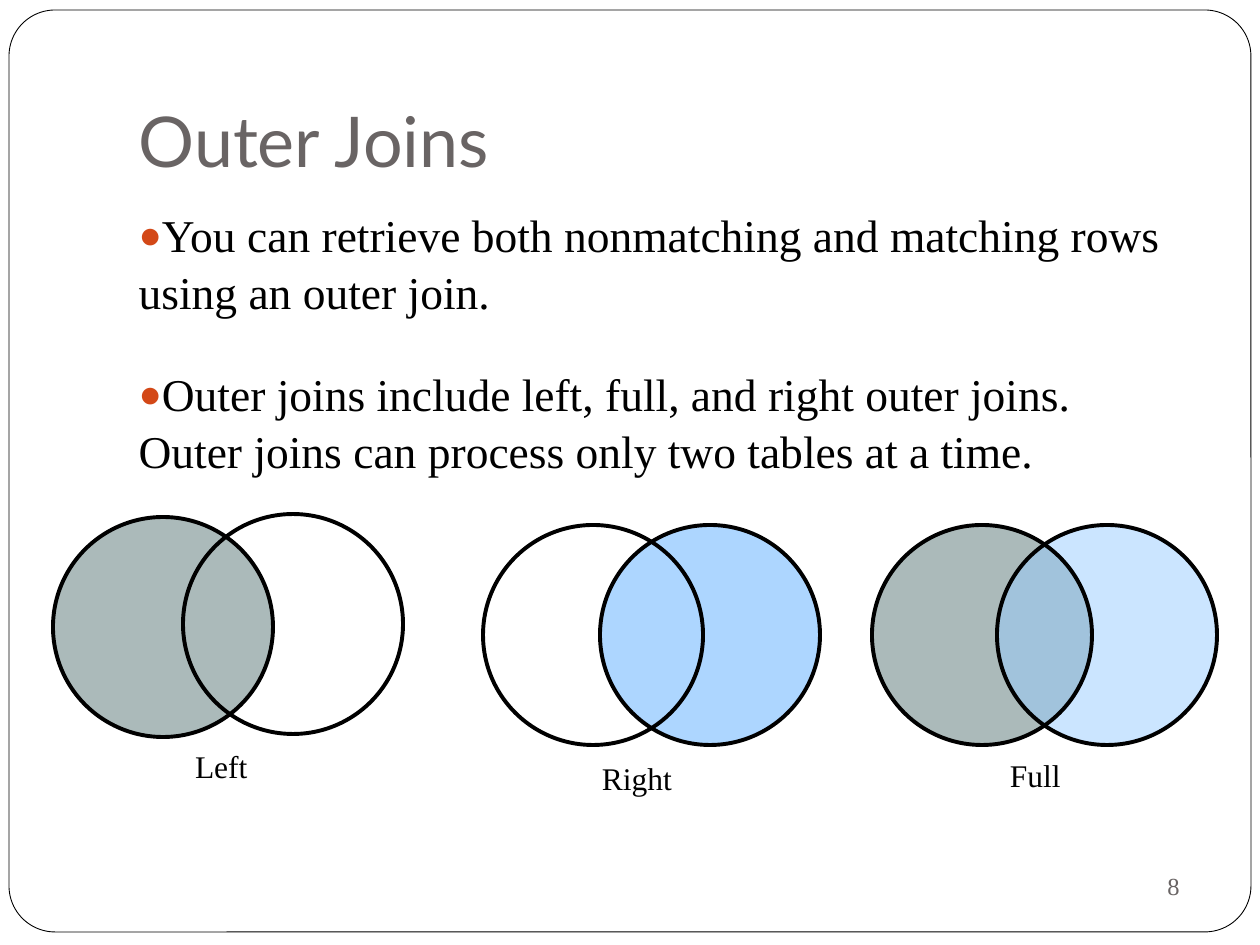
from lxml.etree import SubElement
from pptx import Presentation
from pptx.dml.color import RGBColor
from pptx.enum.shapes import MSO_SHAPE as Shape
from pptx.enum.text import MSO_ANCHOR as Anchor, MSO_AUTO_SIZE as AutoSize, PP_ALIGN as Align
from pptx.oxml.ns import qn
from pptx.util import Emu, Pt

BLACK = RGBColor(0x00, 0x00, 0x00)
GREY = RGBColor(0x69, 0x64, 0x64)
ORANGE = RGBColor(0xD3, 0x48, 0x17)
SAGE = RGBColor(0x96, 0xA9, 0xA9)
SKY = RGBColor(0x99, 0xCC, 0xFF)
SERIF = "Times New Roman"
DIAMETER = 220

BULLETS = [
    ("You can retrieve both nonmatching and matching rows using an outer join.", 3),
    ("Outer joins include left, full, and right outer joins. "
     "Outer joins can process only two tables at a time.", 26),
]

# Each circle: left, top, fill, opacity in percent, outlined
DIAGRAMS = [
    ("Full", (1010, 756, 68), [(872, 525, SAGE, 80, False),
                               (997, 525, SKY, 50, True),
                               (872, 525, None, 0, True)]),
    ("Right", (602, 759, 98), [(600, 525, SKY, 80, True),
                               (483, 525, None, 0, True)]),
    ("Left", (195, 747, 70), [(53, 517, SAGE, 80, False),
                              (183, 514, None, 0, True),
                              (53, 517, None, 0, True)]),
]


def px(count):
    return Emu(round(count * 914400 / 126))


def place(shape, left, top, width, height):
    shape.left, shape.top = px(left), px(top)
    shape.width, shape.height = px(width), px(height)


def write(para, text, size, font=SERIF, color=BLACK, align=Align.LEFT):
    span = para.add_run()
    span.text = text
    span.font.name = font
    span.font.size = Pt(size)
    span.font.color.rgb = color
    para.alignment = align


def add_bullet(para):
    """Give the paragraph an orange dot and no hanging indent."""
    props = para._p.get_or_add_pPr()
    props.set("marL", "0")
    props.set("indent", "0")
    color = SubElement(props, qn("a:buClr"))
    SubElement(color, qn("a:srgbClr"), val=str(ORANGE))
    SubElement(props, qn("a:buSzPct"), val="85000")
    SubElement(props, qn("a:buChar"), char="●")


def add_frame(page):
    frame = page.shapes.add_shape(Shape.ROUNDED_RECTANGLE, px(9), px(10), px(1242), px(922))
    frame.adjustments[0] = 0.05
    frame.shadow.inherit = False
    frame.fill.background()
    frame.line.color.rgb = BLACK
    frame.line.width = Pt(0.5)


def fill_title(title):
    place(title, 126, 38, 1071, 157)
    frame = title.text_frame
    frame.auto_size = AutoSize.NONE
    frame.vertical_anchor = Anchor.BOTTOM
    frame.margin_bottom = px(13)
    write(frame.paragraphs[0], "Outer Joins", 40, font="Lato", color=GREY)


def fill_body(body):
    place(body, 126, 199, 1071, 630)
    frame = body.text_frame
    frame.auto_size = AutoSize.NONE
    for index, (text, gap) in enumerate(BULLETS):
        para = frame.add_paragraph() if index else frame.paragraphs[0]
        para.line_spacing = 1.04
        para.space_before = Pt(gap)
        write(para, text, 26)
        add_bullet(para)


def add_circle(group, left, top, color, opacity, outlined):
    circle = group.shapes.add_shape(Shape.OVAL, px(left), px(top), px(DIAMETER), px(DIAMETER))
    circle.shadow.inherit = False
    if color is None:
        circle.fill.background()
    else:
        circle.fill.solid()
        circle.fill.fore_color.rgb = color
        tint = circle._element.spPr.find(qn("a:solidFill"))[0]
        SubElement(tint, qn("a:alpha"), val=str(opacity * 1000))
    if outlined:
        circle.line.color.rgb = BLACK
        circle.line.width = Pt(2.25)
    else:
        circle.line.fill.background()


def add_diagram(page, name, label_spot, circles):
    group = page.shapes.add_group_shape()
    for circle in circles:
        add_circle(group, *circle)
    left, top, width = label_spot
    label = group.shapes.add_textbox(px(left), px(top), px(width), px(46))
    frame = label.text_frame
    frame.word_wrap = False
    frame.margin_left = frame.margin_right = frame.margin_top = frame.margin_bottom = 0
    write(frame.paragraphs[0], name, 18)


def add_page_number(page):
    box = page.shapes.add_textbox(px(850), px(853), px(342), px(66))
    box.text_frame.word_wrap = True
    box.text_frame.vertical_anchor = Anchor.MIDDLE
    write(box.text_frame.paragraphs[0], "8", 14, color=GREY, align=Align.RIGHT)


def main():
    deck = Presentation()
    deck.slide_width, deck.slide_height = px(1260), px(945)
    page = deck.slides.add_slide(deck.slide_layouts[1])
    add_frame(page)
    fill_title(page.shapes.title)
    fill_body(page.placeholders[1])
    add_page_number(page)
    for name, label_spot, circles in DIAGRAMS:
        add_diagram(page, name, label_spot, circles)
    deck.save("out.pptx")


if __name__ == "__main__":
    main()
